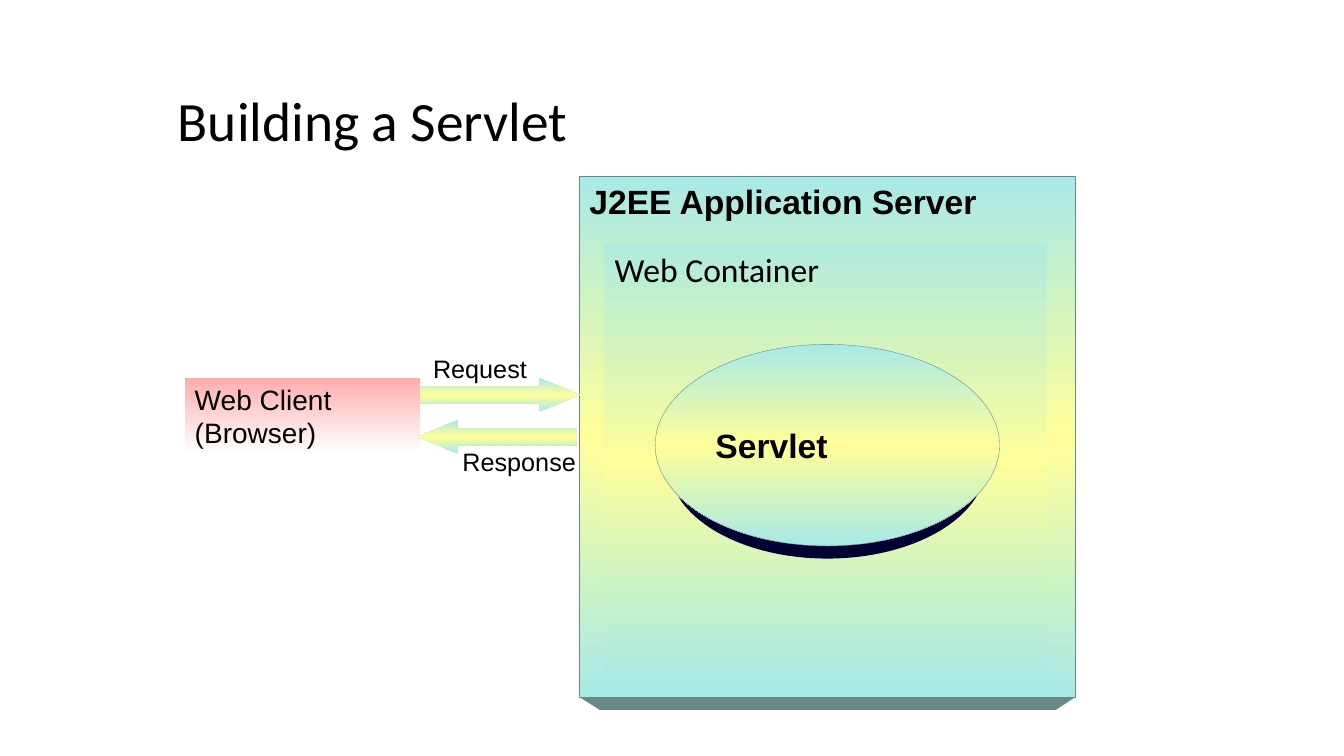
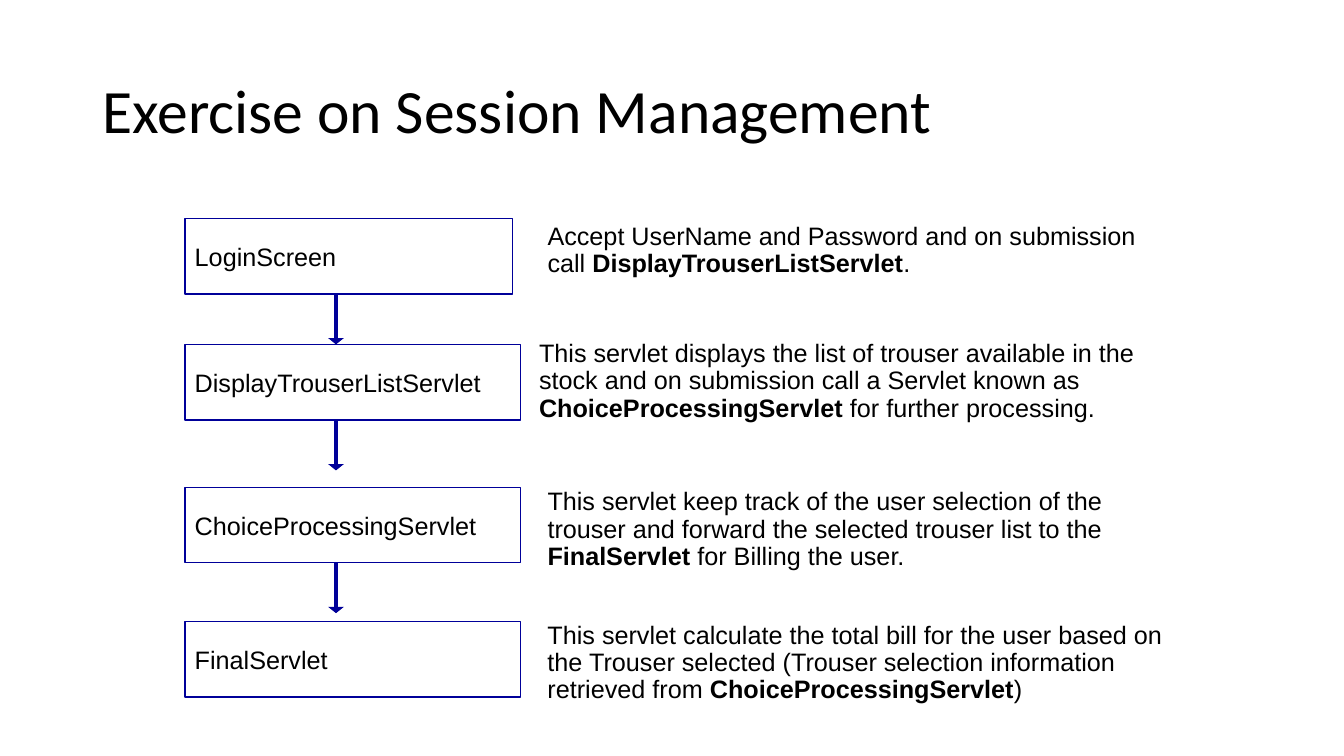
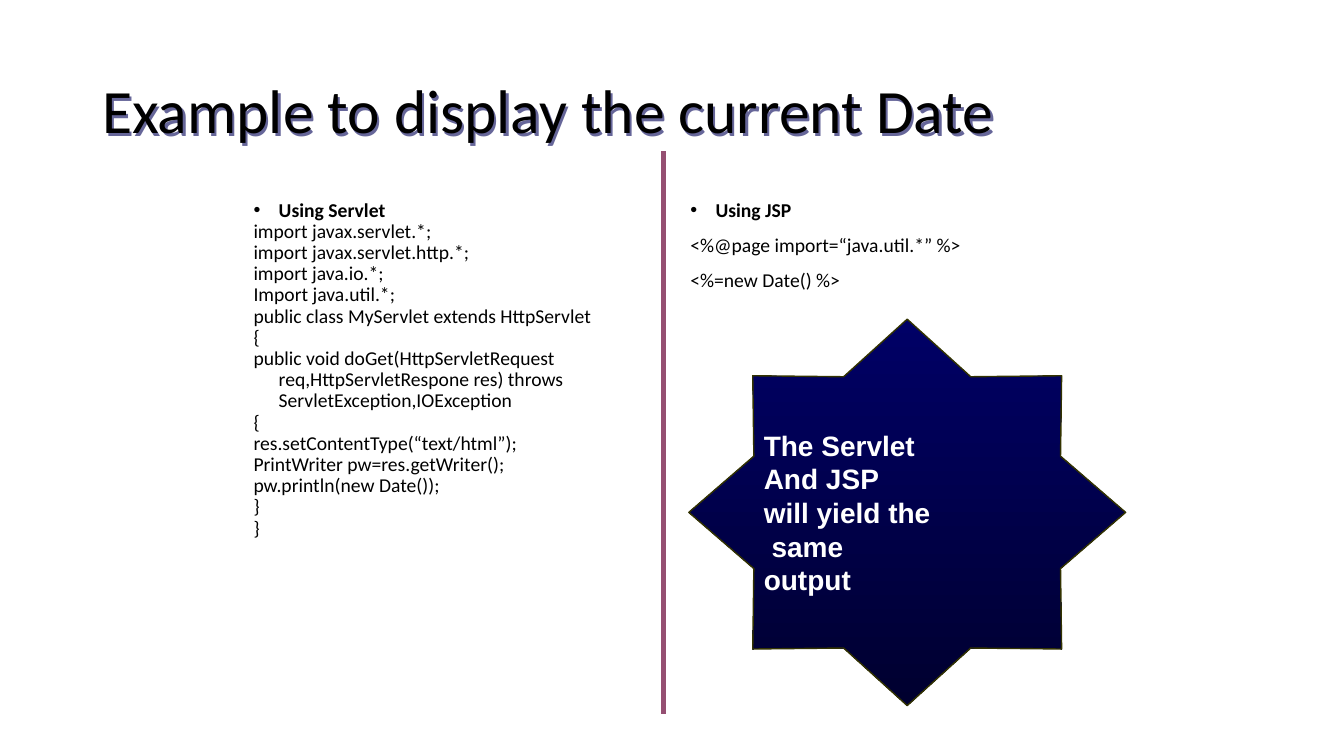
from dataclasses import dataclass
from typing import NamedTuple

from pptx import Presentation
from pptx.dml.color import RGBColor
from pptx.enum.shapes import MSO_CONNECTOR as Connector, MSO_SHAPE as Preset
from pptx.enum.text import MSO_ANCHOR as Anchor, PP_ALIGN as Align
from pptx.oxml import parse_xml
from pptx.oxml.ns import nsdecls, qn
from pptx.oxml.xmlchemy import OxmlElement
from pptx.util import Emu, Pt

PX = 9525  # EMU in one px (96 px to the inch)
BLACK, WHITE, NAVY = "000000", "FFFFFF", "000099"
EDGE, RIM, PLUM, HAZE = "678A89", "000033", "954F72", "666699"


class Box(NamedTuple):
    left: int
    top: int
    width: int
    height: int


class Stop(NamedTuple):
    position: int
    color: str
    alpha: int = 100


class Line(NamedTuple):
    color: str
    points: float


class Run(NamedTuple):
    text: str
    bold: bool = False


@dataclass(frozen=True)
class Style:
    size: float
    font: str = "Arial"
    color: str = BLACK


@dataclass(frozen=True)
class Para:
    runs: tuple[Run, ...]
    spacing: float | None = None
    before: int = 0
    hanging: int = 0
    bullet: bool = False


@dataclass(frozen=True)
class Step:
    servlet: str
    box: Box
    note_box: Box
    note: tuple[Run, ...]


AQUA = (Stop(0, "A7E9E7"), Stop(50, "FFFF99"), Stop(100, "A7E9E7"))
AQUA_CLEAR = (Stop(0, "A7E9E7", 60), Stop(50, "FFFF99"), Stop(100, "A7E9E7", 60))
PINK = (Stop(0, "FFADAD"), Stop(100, WHITE))
MIDNIGHT = (Stop(0, "000066"), Stop(100, "00002F"))

TITLE_BOX = Box(88, 39, 1104, 139)
LABEL, HEADING, CODE = Style(18), Style(24), Style(14, "Calibri")


# Shared helpers
def px(*lengths: int) -> tuple[Emu, ...]:
    return tuple(Emu(length * PX) for length in lengths)


def rgb(color: str) -> RGBColor:
    return RGBColor.from_string(color)


def plain(text: str, bold: bool = False) -> Para:
    return Para((Run(text, bold),))


def write(frame, paras: list[Para], style: Style, anchor=Anchor.TOP, wrap: bool = True) -> None:
    frame.word_wrap = wrap
    frame.vertical_anchor = anchor
    for index, para in enumerate(paras):
        paragraph = frame.add_paragraph() if index else frame.paragraphs[0]
        paragraph.alignment = Align.LEFT
        if para.spacing:
            paragraph.line_spacing = para.spacing
        if index and para.before:
            paragraph.space_before = Pt(para.before)
        properties = paragraph._p.get_or_add_pPr()
        if para.hanging:
            properties.set("marL", str(para.hanging * PX))
            properties.set("indent", str(-para.hanging * PX))
        if para.bullet:
            for tag, key, value in (("a:buFont", "typeface", "Arial"), ("a:buChar", "char", "•")):
                mark = OxmlElement(tag)
                mark.set(key, value)
                properties.append(mark)
        for part in para.runs:
            run = paragraph.add_run()
            run.text = part.text
            font = run.font
            font.name, font.size, font.bold = style.font, Pt(style.size), part.bold
            font.color.rgb = rgb(style.color)


def paint(shape, fill: str | tuple[Stop, ...] | None, line: Line | None) -> None:
    shape.shadow.inherit = False
    if isinstance(fill, str):
        shape.fill.solid()
        shape.fill.fore_color.rgb = rgb(fill)
    else:
        shape.fill.background()
    if isinstance(fill, tuple):
        stops = "".join(
            f'<a:gs pos="{stop.position * 1000}"><a:srgbClr val="{stop.color}">'
            f'<a:alpha val="{stop.alpha * 1000}"/></a:srgbClr></a:gs>' for stop in fill)
        gradient = parse_xml(f'<a:gradFill {nsdecls("a")} rotWithShape="1"><a:gsLst>{stops}'
                             '</a:gsLst><a:lin ang="5400000" scaled="1"/></a:gradFill>')
        properties = shape._element.spPr
        properties.replace(properties.find(qn("a:noFill")), gradient)
    if line:
        shape.line.color.rgb = rgb(line.color)
        shape.line.width = Pt(line.points)
    else:
        shape.line.fill.background()


def add_preset(slide, preset, box: Box, fill=None, line: Line | None = None):
    shape = slide.shapes.add_shape(preset, *px(*box))
    paint(shape, fill, line)
    return shape


def add_text(slide, box: Box, paras: list[Para], style: Style, anchor=Anchor.TOP):
    text_box = slide.shapes.add_textbox(*px(*box))
    write(text_box.text_frame, paras, style, anchor)
    return text_box


def add_title(slide, text: str, box: Box = TITLE_BOX, size: float = 44,
              shadow: bool = False) -> None:
    title = add_text(slide, box, [Para((Run(text),), spacing=0.9)],
                     Style(size, "Calibri"), Anchor.MIDDLE)
    if shadow:
        title._element.spPr.append(parse_xml(
            f'<a:effectLst {nsdecls("a")}><a:outerShdw dist="{3 * PX}" dir="2700000" '
            f'algn="tl"><a:srgbClr val="{HAZE}"/></a:outerShdw></a:effectLst>'))


def add_vertical(slide, x: int, top: int, bottom: int, line: Line, arrow: bool = False) -> None:
    connector = slide.shapes.add_connector(Connector.STRAIGHT, *px(x, top, x, bottom))
    connector.line.color.rgb = rgb(line.color)
    connector.line.width = Pt(line.points)
    if arrow:
        head = OxmlElement("a:tailEnd")
        for key, value in (("type", "triangle"), ("w", "lg"), ("len", "sm")):
            head.set(key, value)
        connector.line._get_or_add_ln().append(head)
    connector._element.spPr.append(OxmlElement("a:effectLst"))


# Slide 1: client, server and servlet
def build_servlet_slide(slide) -> None:
    add_title(slide, "Building a Servlet", Box(160, 91, 960, 53), 39.6)

    outline = slide.shapes.build_freeform(552, 664, scale=PX)
    outline.add_line_segments([(1024, 664), (1006, 676), (571, 676)], close=True)
    paint(outline.convert_to_shape(), EDGE, None)
    server = add_preset(slide, Preset.RECTANGLE, Box(552, 168, 472, 496), AQUA, Line(EDGE, 0.25))
    write(server.text_frame, [plain("J2EE Application Server", True)], HEADING)

    container = add_preset(slide, Preset.RECTANGLE, Box(576, 232, 421, 416), AQUA_CLEAR)
    write(container.text_frame, [plain("Web Container")], Style(24, "Calibri"))

    client = add_preset(slide, Preset.RECTANGLE, Box(176, 360, 224, 72), PINK)
    write(client.text_frame, [plain("Web Client (Browser)")], Style(20), Anchor.MIDDLE)

    add_preset(slide, Preset.OVAL, Box(637, 353, 302, 179), RIM)
    servlet = add_preset(slide, Preset.OVAL, Box(624, 328, 328, 192), AQUA, Line(EDGE, 0.25))
    write(servlet.text_frame, [plain("Servlet", True)], HEADING, Anchor.MIDDLE, wrap=False)

    # Request goes right, response comes back
    for message, arrow_box, turn, label_box in (
        ("Request", Box(400, 360, 152, 32), 0, Box(403, 332, 136, 38)),
        ("Response", Box(398, 400, 152, 32), 180, Box(431, 420, 136, 38)),
    ):
        arrow = add_preset(slide, Preset.RIGHT_ARROW, arrow_box, AQUA)
        arrow.adjustments[0], arrow.adjustments[1] = 0.5, 1.19
        arrow.rotation = turn
        add_text(slide, label_box, [plain(message)], LABEL)


# Slide 2: chain of servlets with notes
STEPS = (
    Step("LoginScreen", Box(176, 208, 312, 72), Box(512, 208, 608, 67), (
        Run("Accept UserName and Password and on submission call "),
        Run("DisplayTrouserListServlet", True), Run("."))),
    Step("DisplayTrouserListServlet", Box(176, 328, 320, 72), Box(504, 320, 616, 67), (
        Run("This servlet displays the list of trouser available in the stock and on "
            "submission call a Servlet known as "),
        Run("ChoiceProcessingServlet", True), Run(" for further processing."))),
    Step("ChoiceProcessingServlet", Box(176, 464, 320, 72), Box(512, 461, 608, 67), (
        Run("This servlet keep track of the user selection of the trouser and forward "
            "the selected trouser list to the "),
        Run("FinalServlet", True), Run(" for Billing the user."))),
    Step("FinalServlet", Box(176, 592, 320, 72), Box(512, 588, 616, 67), (
        Run("This servlet calculate the total bill for the user based on the Trouser "
            "selected (Trouser selection information retrieved from "),
        Run("ChoiceProcessingServlet", True), Run(")"))),
)


def build_session_slide(slide) -> None:
    add_title(slide, "Exercise on Session Management")
    for step in STEPS:
        box = add_preset(slide, Preset.RECTANGLE, step.box, line=Line(NAVY, 1))
        write(box.text_frame, [plain(step.servlet)], LABEL, Anchor.MIDDLE)
        add_text(slide, step.note_box, [Para(step.note, spacing=0.9)], LABEL)
    for step in STEPS[:-1]:
        bottom = step.box.top + step.box.height
        add_vertical(slide, 320, bottom, bottom + 48, Line(NAVY, 2.25), arrow=True)


# Slide 3: the same page as servlet and as JSP
SERVLET_CODE = (
    "import javax.servlet.*;",
    "import javax.servlet.http.*;",
    "import java.io.*;",
    "Import java.util.*;",
    "public class MyServlet extends HttpServlet",
    "{",
    "public void doGet(HttpServletRequest req,HttpServletRespone res) throws "
    "ServletException,IOException",
    "{",
    "res.setContentType(“text/html”);",
    "PrintWriter pw=res.getWriter();",
    "pw.println(new Date());",
    "}",
    "}",
)
JSP_CODE = ("<%@page import=“java.util.*” %>", "<%=new Date() %>")
VERDICT = ("The Servlet", "And JSP", "will yield the", " same", "output")


def build_date_slide(slide) -> None:
    add_title(slide, "Example to display the current Date", shadow=True)
    for left, heading, code, before in (
        (232, "Using Servlet", SERVLET_CODE, 0),
        (648, "Using JSP", JSP_CODE, 10),
    ):
        paras = [Para((Run(heading, True),), spacing=0.9, hanging=24, bullet=True)]
        paras += [Para((Run(row),), spacing=0.9, before=before, hanging=24) for row in code]
        add_text(slide, Box(left, 186, 400, 410), paras, CODE)

    star = add_preset(slide, Preset.STAR_8_POINT, Box(656, 304, 416, 368), MIDNIGHT,
                      Line("333300", 1))
    star.adjustments[0] = 0.38
    write(star.text_frame, [plain(row, True) for row in VERDICT], Style(20, color=WHITE),
          Anchor.MIDDLE, wrap=False)
    add_vertical(slide, 632, 144, 680, Line(PLUM, 3))


def main() -> None:
    deck = Presentation()
    deck.slide_width, deck.slide_height = px(1280, 720)
    blank = deck.slide_layouts[6]
    for build in (build_servlet_slide, build_session_slide, build_date_slide):
        build(deck.slides.add_slide(blank))
    deck.save("out.pptx")


if __name__ == "__main__":
    main()
